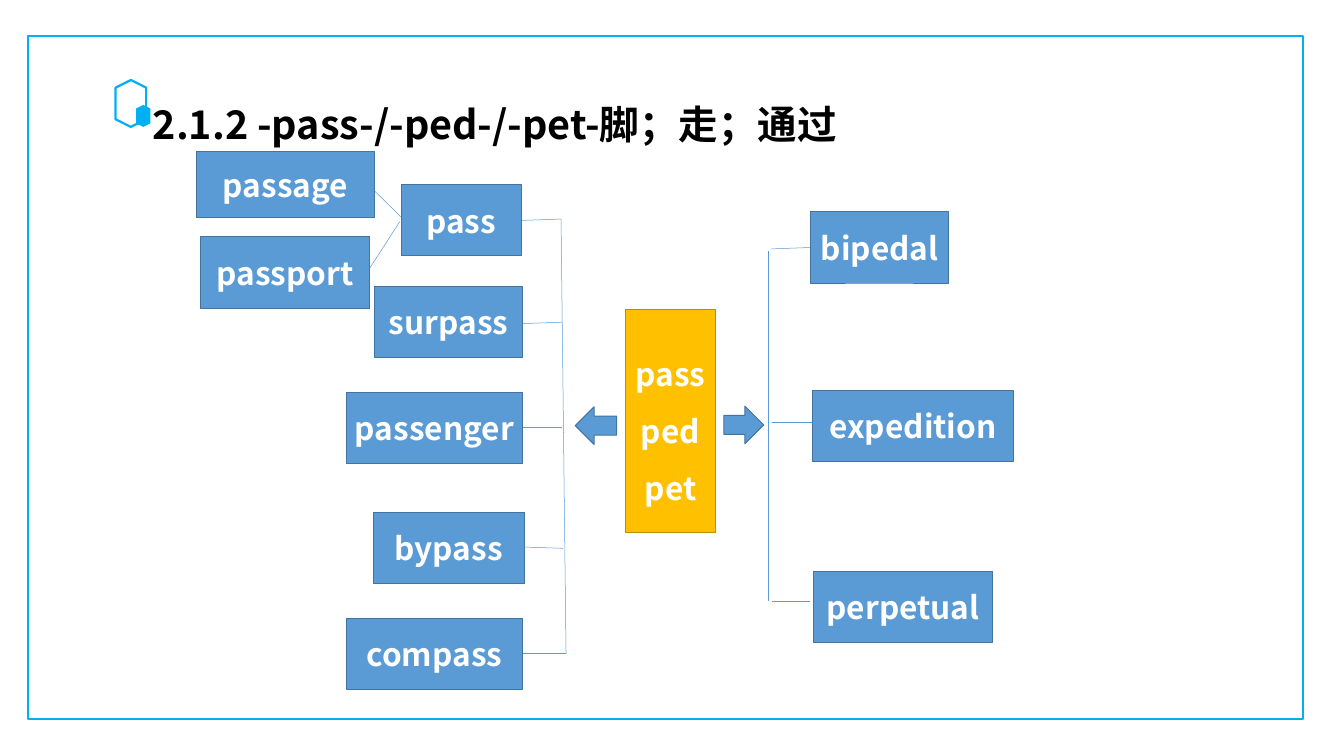
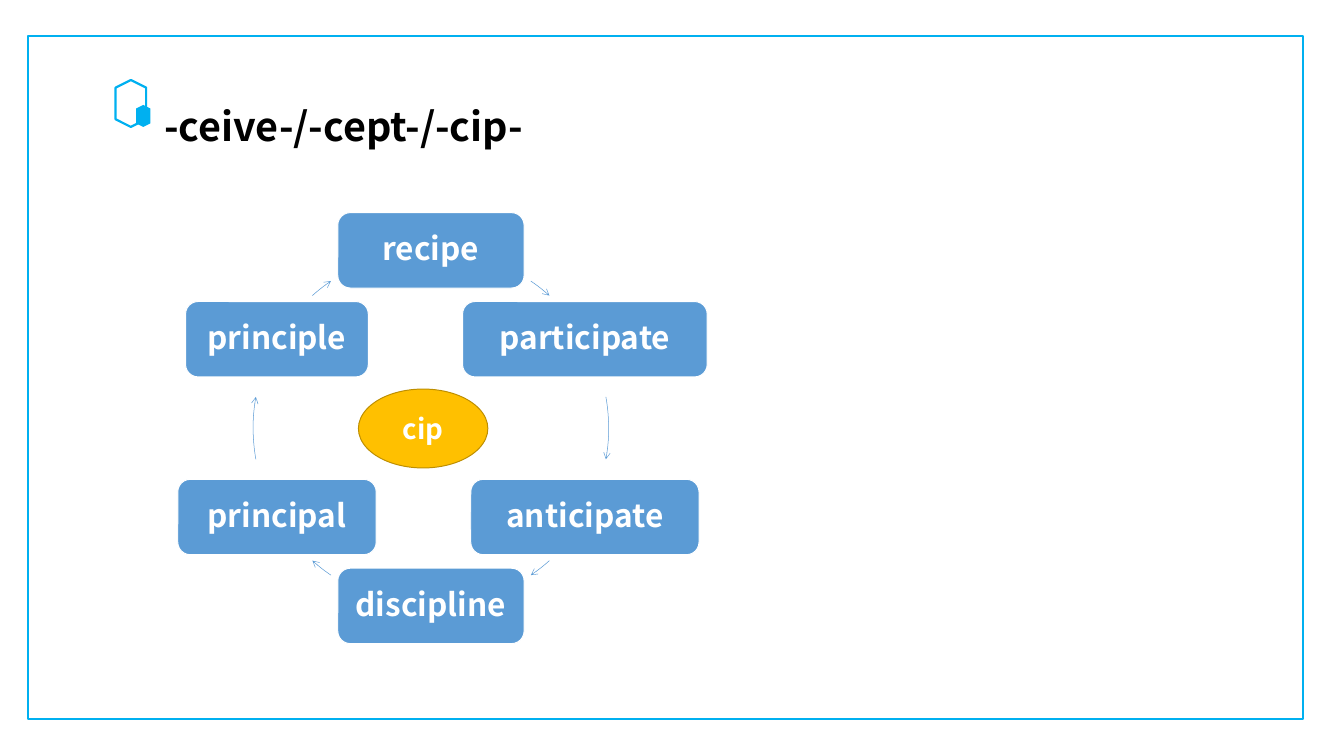
from math import cos, sin, radians

from lxml import etree
from pptx import Presentation
from pptx.dml.color import RGBColor
from pptx.enum.shapes import MSO_CONNECTOR, MSO_SHAPE as Kind
from pptx.enum.text import MSO_ANCHOR, PP_ALIGN
from pptx.oxml.ns import qn
from pptx.util import Inches, Pt

FONT = "Noto Sans CJK SC"
CYAN = RGBColor(0x00, 0xB0, 0xF0)
BLUE = RGBColor(0x5B, 0x9B, 0xD5)
NAVY = RGBColor(0x43, 0x73, 0x9E)
GOLD = RGBColor(0xFF, 0xC0, 0x00)
BROWN = RGBColor(0xBD, 0x8E, 0x00)
WHITE = RGBColor(0xFF, 0xFF, 0xFF)
BLACK = RGBColor(0x00, 0x00, 0x00)


def write(frame, text, size, color, align=PP_ALIGN.CENTER, space=1.0):
    """Fill a text frame with bold text, one paragraph for each line."""
    frame.text = text
    frame.word_wrap = False
    for par in frame.paragraphs:
        par.alignment = align
        par.line_spacing = space
        par.font.size, par.font.bold = Pt(size), True
        par.font.name, par.font.color.rgb = FONT, color
        for run in par.runs:
            props = run._r.get_or_add_rPr()
            etree.SubElement(props, qn("a:ea")).set("typeface", FONT)


def draw(slide, kind, box, fill=None, line=None, width=1.0, text="", size=32, space=1.0):
    """Add a preset shape; box is left, top, width, height in inches."""
    shape = slide.shapes.add_shape(kind, *map(Inches, box))
    shape.shadow.inherit = False
    if fill is None:
        shape.fill.background()
    else:
        shape.fill.solid()
        shape.fill.fore_color.rgb = fill
    if line is None:
        shape.line.fill.background()
    else:
        shape.line.color.rgb = line
        shape.line.width = Pt(width)
    if text:
        write(shape.text_frame, text, size, WHITE, space=space)
        shape.text_frame.vertical_anchor = MSO_ANCHOR.MIDDLE
    return shape


deck = Presentation()
deck.slide_width, deck.slide_height = Inches(18.9), Inches(10.63)

# Frame, hexagon mark and title of every slide
TITLES = [
    ("2.1.2 -pass-/-ped-/-pet-脚；走；通过", (2.05, 1.36, 10.31, 0.77)),
    ("-ceive-/-cept-/-cip-", (2.21, 1.39, 5.65, 0.77)),
]
for title, box in TITLES:
    slide = deck.slides.add_slide(deck.slide_layouts[6])
    draw(slide, Kind.RECTANGLE, (0.39, 0.51, 17.93, 9.6), line=CYAN, width=2.25)
    draw(slide, Kind.HEXAGON, (1.51, 1.24, 0.66, 0.43), line=CYAN, width=2.25).rotation = 90
    draw(slide, Kind.HEXAGON, (1.86, 1.53, 0.31, 0.2), fill=CYAN).rotation = 90
    label = slide.shapes.add_textbox(*map(Inches, box))
    write(label.text_frame, title, 40, BLACK, align=PP_ALIGN.LEFT)

tree, ring = deck.slides

# Word tree: lines first, so that the boxes cover their ends
LINES = [
    (7.89, 3.08, 7.96, 9.19),
    (7.31, 3.1, 7.89, 3.08),
    (7.35, 4.55, 7.91, 4.53),
    (7.36, 6.01, 7.9, 6.01),
    (7.3, 7.69, 7.92, 7.71),
    (7.31, 9.18, 7.96, 9.18),
    (5.17, 2.59, 5.66, 3.07),
    (5.2, 3.77, 5.62, 3.12),
    (10.81, 3.53, 10.81, 8.45),
    (10.84, 3.5, 11.4, 3.48),
    (10.86, 5.94, 11.42, 5.94),
    (10.85, 8.46, 11.39, 8.46),
]
for ends in LINES:
    link = tree.shapes.add_connector(MSO_CONNECTOR.STRAIGHT, *map(Inches, ends))
    link.line.color.rgb = BLUE
    link.line.width = Pt(0.5)
    etree.SubElement(link._element.spPr, qn("a:effectLst"))

WORDS = [
    ("passage", 2.76, 2.13, 2.51, 0.93),
    ("passport", 2.82, 3.32, 2.38, 1.02),
    ("pass", 5.64, 2.6, 1.69, 1),
    ("surpass", 5.27, 4.03, 2.08, 1),
    ("passenger", 4.87, 5.52, 2.48, 1),
    ("bypass", 5.25, 7.21, 2.12, 1),
    ("compass", 4.87, 8.69, 2.48, 1),
    ("bipedal", 11.4, 2.98, 1.94, 1),
    ("expedition", 11.43, 5.49, 2.82, 1),
    ("perpetual", 11.44, 8.03, 2.52, 1),
]
for word, *box in WORDS:
    draw(tree, Kind.RECTANGLE, box, BLUE, NAVY, text=word)
draw(tree, Kind.RECTANGLE, (8.8, 4.35, 1.26, 3.14), GOLD, BROWN,
     text="pass\nped\npet", space=1.5)
draw(tree, Kind.LEFT_ARROW, (8.09, 5.72, 0.58, 0.53), BLUE, NAVY)
draw(tree, Kind.RIGHT_ARROW, (10.18, 5.71, 0.56, 0.53), BLUE, NAVY)

# Word ring: boxes every 60 degrees, clockwise from the top
MID_X, MID_Y, RADIUS, HIGH = 6.06, 6.02, 2.5, 1.06
STEPS = [("recipe", 2.62), ("participate", 3.44), ("anticipate", 3.21),
         ("discipline", 2.62), ("principal", 2.79), ("principle", 2.57)]
for i, (word, wide) in enumerate(STEPS):
    turn = radians(60 * i - 90)
    x, y = MID_X + RADIUS * cos(turn), MID_Y + RADIUS * sin(turn)
    draw(ring, Kind.ROUNDED_RECTANGLE, (x - wide / 2, y - HIGH / 2, wide, HIGH),
         BLUE, WHITE, text=word, space=0.9)

# Arcs between the boxes: middle angle and half sweep, in degrees
ARCS = [(308, 3.8), (0, 10.1), (52, 3.8), (128, 3.8), (180, 10.1), (232, 3.8)]
for angle, half in ARCS:
    arc = draw(ring, Kind.ARC, (MID_X - RADIUS, MID_Y - RADIUS, 2 * RADIUS, 2 * RADIUS),
               line=BLUE, width=0.5)
    for i, end in enumerate((angle - half, angle + half)):
        arc.adjustments[i] = end % 360 * 0.6
    etree.SubElement(arc.line._get_or_add_ln(), qn("a:tailEnd")).set("type", "arrow")

draw(ring, Kind.FLOWCHART_CONNECTOR, (5.04, 5.47, 1.82, 1.11), GOLD, BROWN,
     text="cip", size=28)

deck.save("out.pptx")
